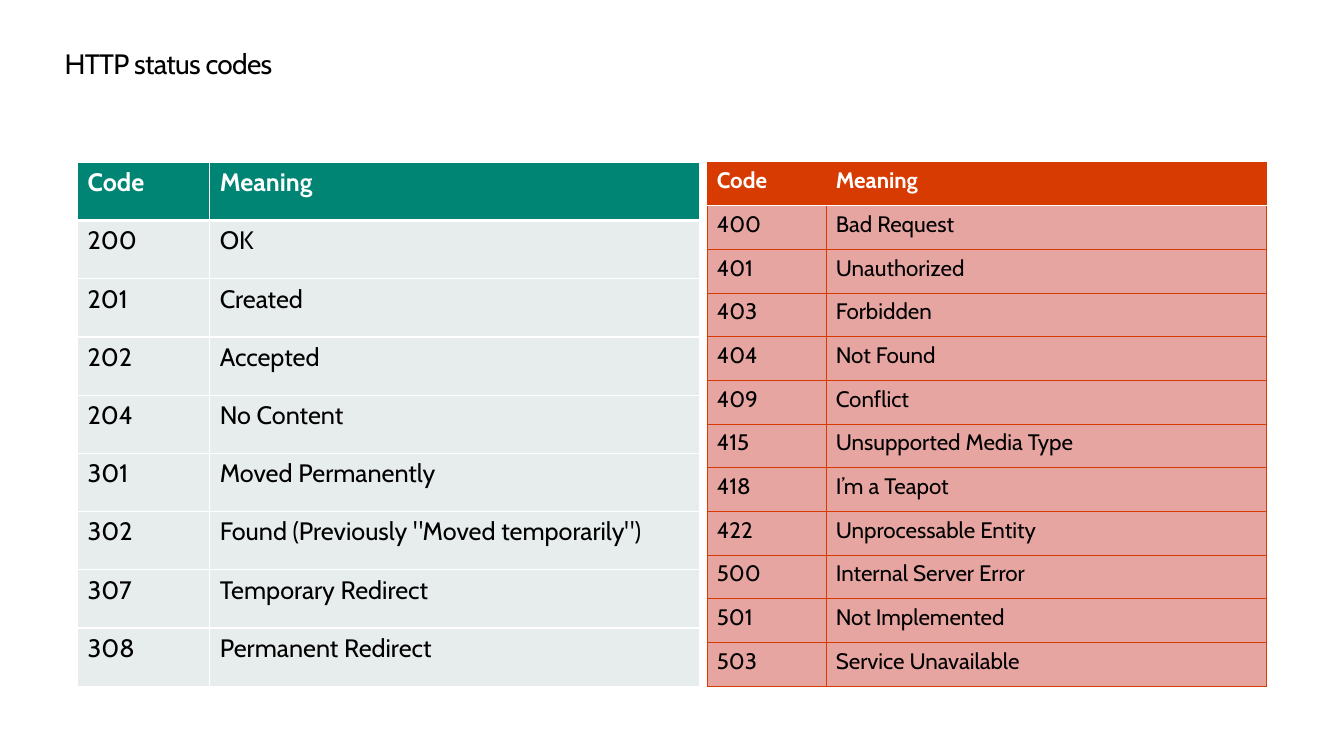
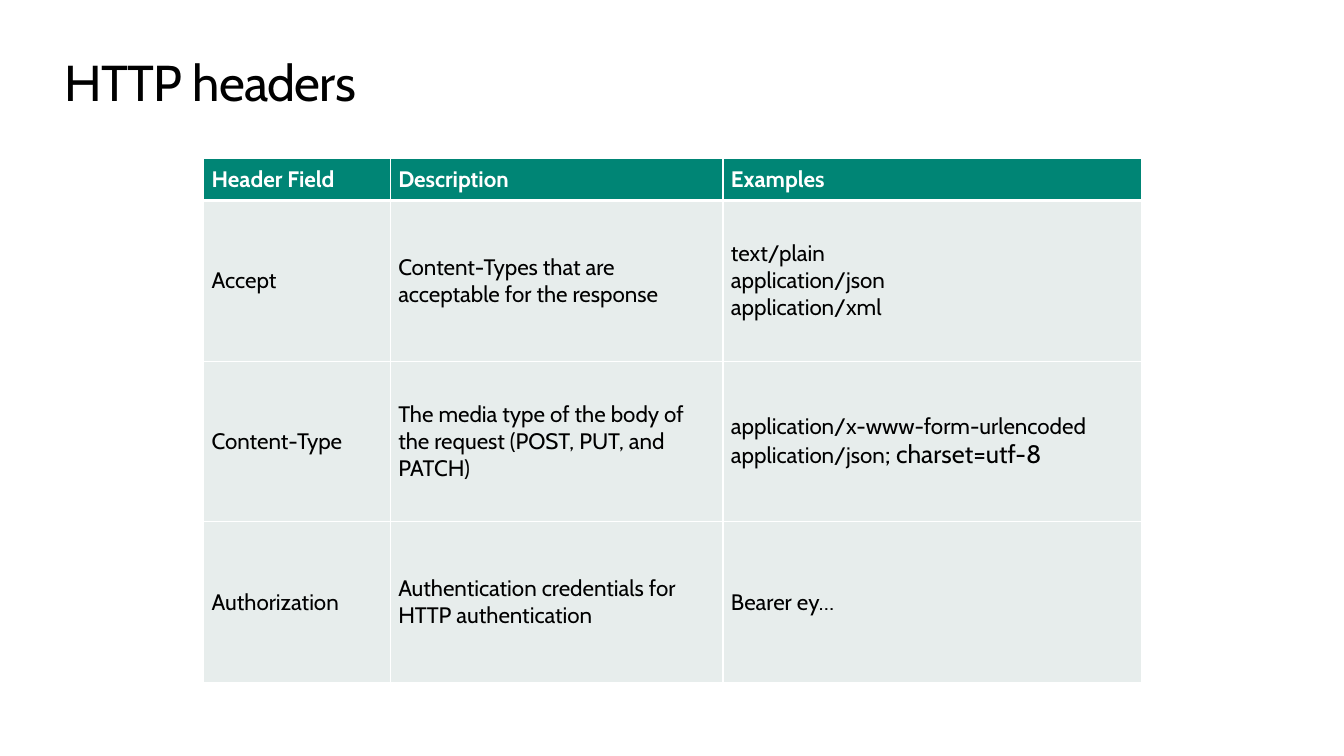
import dataclasses

import lxml.etree
import pptx
import pptx.dml.color
import pptx.enum.text
import pptx.oxml.ns
import pptx.util

Inches = pptx.util.Inches
Pt = pptx.util.Pt
Anchor = pptx.enum.text.MSO_ANCHOR


@dataclasses.dataclass(frozen=True)
class Theme:
    font: str = "Cabin"
    ink: str = "000000"
    white: str = "FFFFFF"
    teal: str = "008575"
    mist: str = "E7EDEC"
    red: str = "D83B01"
    pink: str = "E7A5A1"
    small: int = 16
    large: int = 18
    minor: int = 20
    major: int = 36


@dataclasses.dataclass(frozen=True)
class Look:
    head: str
    body: str
    edge: str
    line: float
    rule: float
    size: int
    inset: tuple
    anchor: object = Anchor.TOP


THEME = Theme()
GREEN = Look(THEME.teal, THEME.mist, THEME.white, 1, 3, THEME.large, (0.1, 0.05))
ALERT = Look(THEME.red, THEME.pink, THEME.red, 0.75, 0.85, THEME.small, (0.09, 0.05))
FIELDS = Look(THEME.teal, THEME.mist, THEME.white, 1, 3, THEME.small,
              (0.08, 0.07), Anchor.MIDDLE)

GOOD = [
    ("Code", "Meaning"),
    ("200", "OK"),
    ("201", "Created"),
    ("202", "Accepted"),
    ("204", "No Content"),
    ("301", "Moved Permanently"),
    ("302", 'Found (Previously "Moved temporarily")'),
    ("307", "Temporary Redirect"),
    ("308", "Permanent Redirect"),
]

FAULTS = [
    ("Code", "Meaning"),
    ("400", "Bad Request"),
    ("401", "Unauthorized"),
    ("403", "Forbidden"),
    ("404", "Not Found"),
    ("409", "Conflict"),
    ("415", "Unsupported Media Type"),
    ("418", "I’m a Teapot"),
    ("422", "Unprocessable Entity"),
    ("500", "Internal Server Error"),
    ("501", "Not Implemented"),
    ("503", "Service Unavailable"),
]

HEADERS = [
    ("Header Field", "Description", "Examples"),
    ("Accept", "Content-Types that are acceptable for the response",
     "text/plain\napplication/json\napplication/xml"),
    ("Content-Type",
     "The media type of the body of the request (POST, PUT, and PATCH)",
     "application/x-www-form-urlencoded\napplication/json"),
    ("Authorization", "Authentication credentials for HTTP authentication",
     "Bearer ey…"),
]


def style(run, size, color, bold=False):
    run.font.name = THEME.font
    run.font.size = Pt(size)
    run.font.bold = bold
    run.font.color.rgb = pptx.dml.color.RGBColor.from_string(color)


def add_title(slide, text, size, anchor, space):
    box = slide.shapes.add_textbox(Inches(0.64), Inches(0.5), Inches(12.05), Inches(0.61))
    frame = box.text_frame
    frame.word_wrap = True
    frame.margin_left = frame.margin_right = 0
    frame.margin_top = frame.margin_bottom = 0
    frame.vertical_anchor = anchor
    frame.text = text
    para = frame.paragraphs[0]
    para.line_spacing = space
    run = para.runs[0]
    style(run, size, THEME.ink)
    run.font._element.set("spc", "-50")


def add_edge(cell, side, color, width):
    qn = pptx.oxml.ns.qn
    props = cell._tc.get_or_add_tcPr()
    line = lxml.etree.SubElement(props, qn("a:ln" + side), w=str(Pt(width)))
    fill = lxml.etree.SubElement(line, qn("a:solidFill"))
    lxml.etree.SubElement(fill, qn("a:srgbClr"), val=color)


def fill_cell(cell, text, row, look):
    head = row == 0
    plain = (look.edge, look.line)
    rule = (THEME.white, look.rule)
    edges = {"L": plain, "R": plain,
             "T": rule if row == 1 else plain,
             "B": rule if head else plain}
    for side, (color, width) in edges.items():
        add_edge(cell, side, color, width)
    cell.fill.solid()
    cell.fill.fore_color.rgb = pptx.dml.color.RGBColor.from_string(
        look.head if head else look.body)
    wide, tall = look.inset
    cell.margin_left = cell.margin_right = Inches(wide)
    cell.margin_top = cell.margin_bottom = Inches(tall)
    cell.vertical_anchor = look.anchor
    cell.text_frame.text = text
    for para in cell.text_frame.paragraphs:
        for run in para.runs:
            style(run, look.size, THEME.white if head else THEME.ink, head)


def add_grid(slide, left, top, widths, data, look, first=None):
    full = 5.2
    count = len(data)
    first = first or full / count
    rest = (full - first) / (count - 1)
    frame = slide.shapes.add_table(count, len(widths), Inches(left), Inches(top),
                                   Inches(sum(widths)), Inches(full))
    table = frame.table
    table.horz_banding = False
    for col, width in zip(table.columns, widths):
        col.width = Inches(width)
    for row, texts in enumerate(data):
        table.rows[row].height = Inches(rest if row else first)
        for col, text in enumerate(texts):
            fill_cell(table.cell(row, col), text, row, look)
    return table


def add_codes(slide):
    add_title(slide, "HTTP status codes", THEME.minor, Anchor.TOP, 0.9)
    add_grid(slide, 0.77, 1.61, (1.31, 4.86), GOOD, GREEN)
    add_grid(slide, 7.02, 1.61, (1.18, 4.36), FAULTS, ALERT)


def add_fields(slide):
    add_title(slide, "HTTP headers", THEME.major, Anchor.MIDDLE, 1.0)
    table = add_grid(slide, 2.02, 1.57, (1.85, 3.3, 4.15), HEADERS, FIELDS, 0.42)
    run = table.cell(2, 2).text_frame.paragraphs[-1].add_run()
    run.text = "; charset=utf-8"
    style(run, THEME.large, THEME.ink)


def main():
    deck = pptx.Presentation()
    deck.slide_width = Inches(13.33)
    deck.slide_height = Inches(7.5)
    for build in (add_codes, add_fields):
        build(deck.slides.add_slide(deck.slide_layouts[6]))
    deck.save("out.pptx")


if __name__ == "__main__":
    main()
